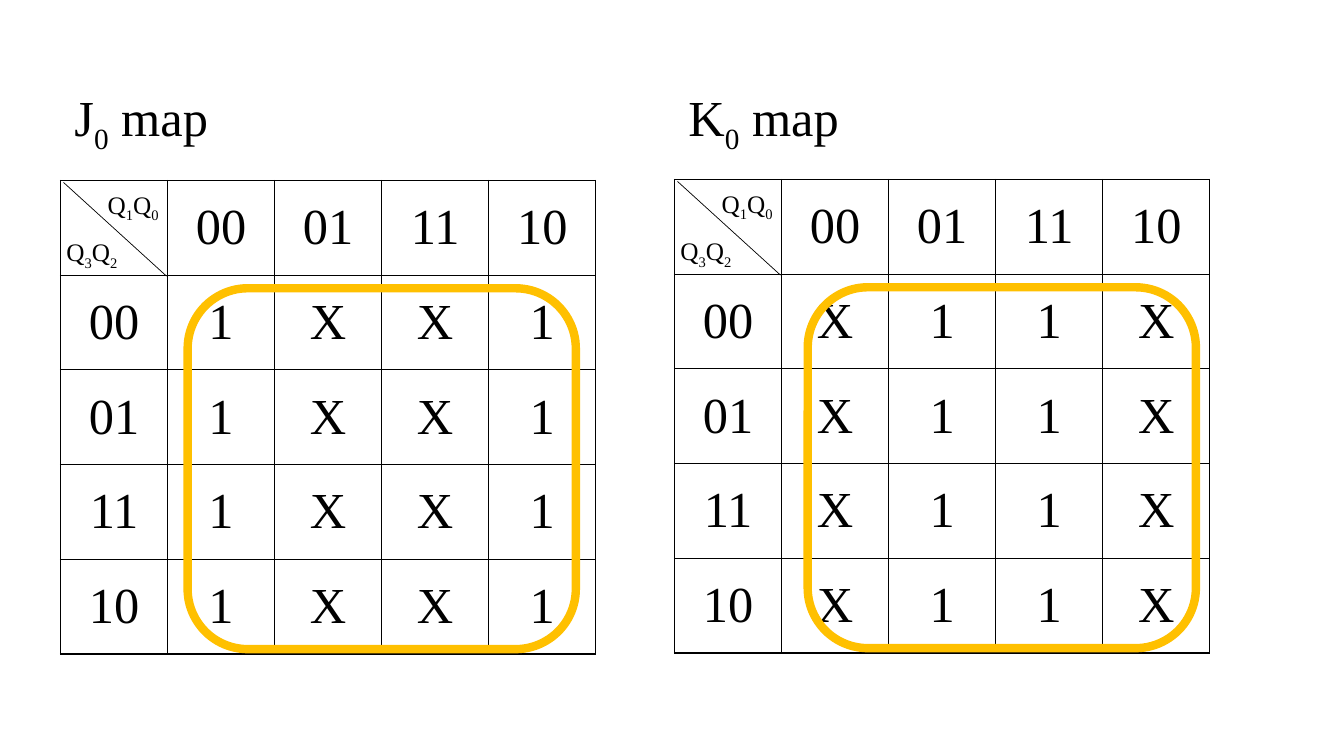
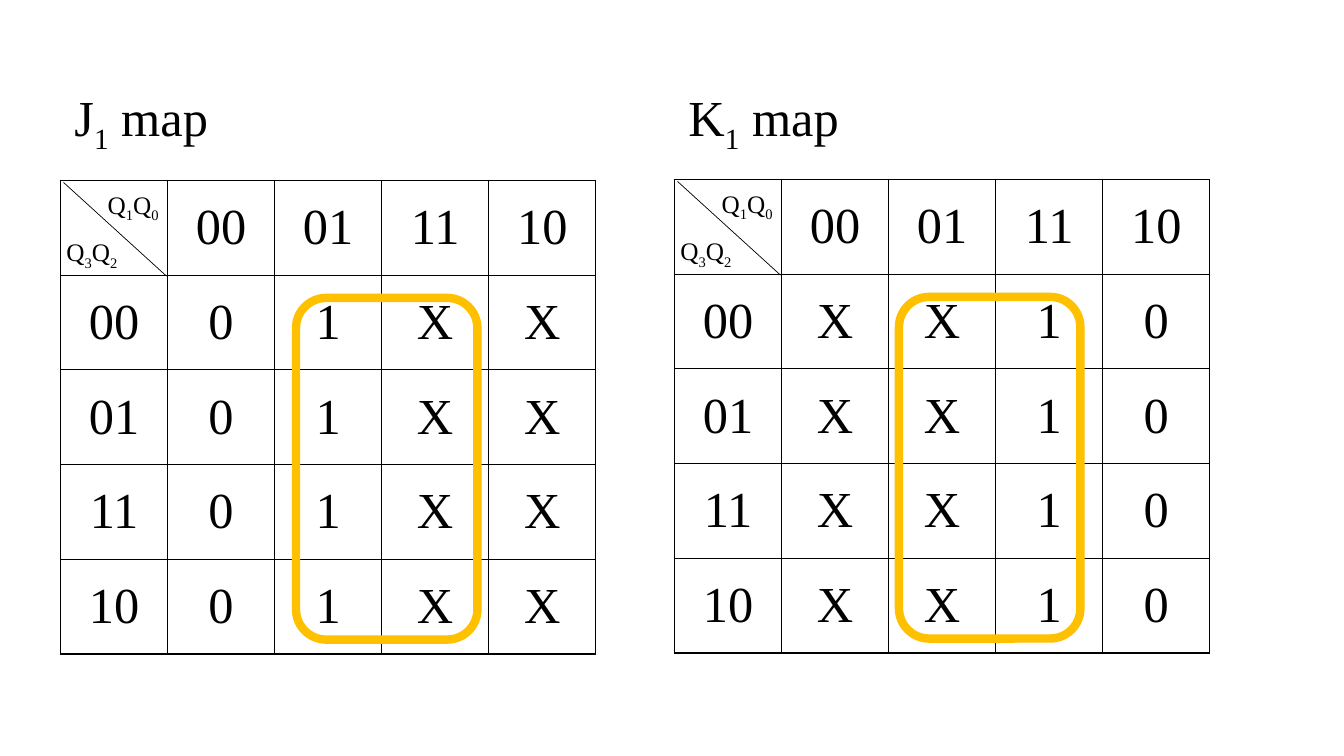
from lxml.etree import SubElement as Sub
from pptx import Presentation
from pptx.dml.color import RGBColor
from pptx.enum.shapes import MSO_CONNECTOR as Link, MSO_SHAPE as Shape
from pptx.enum.text import MSO_ANCHOR as Anchor, MSO_AUTO_SIZE as Fit, PP_ALIGN as Align
from pptx.oxml import parse_xml
from pptx.oxml.ns import qn
from pptx.util import Inches, Pt

CODES = ["00", "01", "11", "10"]
ROWS, COLS = "Q3Q2", "Q1Q0"
SLIDES = [
    {"loop": (3.85, 3.58),
     "maps": [("J", "0", "1XX1", 0), ("K", "0", "X11X", 0.06)]},
    {"loop": (1.8, 3.39),
     "maps": [("J", "1", "01XX", 0.05), ("K", "1", "XX10", -0.06)]},
]
PLACES = [(0.6, 1.79, 1.56), (6.69, 1.78, 1.73)]

FONT, BLACK, GOLD = "Times New Roman", "000000", "FFC000"
BIG, SMALL = 36, 18
SIDE = len(CODES) + 1
WIDE, HIGH = 5.31 / SIDE, 4.7 / SIDE
DROP = 0.04


def color(code):
    return RGBColor.from_string(code)


def stroke(line, code, size):
    line.color.rgb = color(code)
    line.width = Pt(size)


def write(para, text, size, sub=False):
    run = para.add_run()
    run.text = text
    run.font.name = FONT
    run.font.size = Pt(size)
    run.font.color.rgb = color(BLACK)
    if sub:
        run.font._element.set("baseline", "-25000")


def label(slide, box, text, size):
    shape = slide.shapes.add_textbox(*map(Inches, box))
    frame = shape.text_frame
    frame.word_wrap = False
    frame.auto_size = Fit.SHAPE_TO_FIT_TEXT
    for part, sub in text:
        write(frame.paragraphs[0], part, size, sub)


def edge(cell):
    props = cell._tc.get_or_add_tcPr()
    for spot, side in enumerate("LRTB"):
        line = props.makeelement(qn(f"a:ln{side}"), {"w": str(Pt(1))})
        fill = Sub(line, qn("a:solidFill"))
        Sub(fill, qn("a:srgbClr"), val=BLACK)
        props.insert(spot, line)


def grid(slide, left, top, values):
    box = (left, top, WIDE * SIDE, HIGH * SIDE)
    table = slide.shapes.add_table(SIDE, SIDE, *map(Inches, box)).table
    table.first_row = table.horz_banding = False
    for col in table.columns:
        col.width = Inches(WIDE)
    for row in table.rows:
        row.height = Inches(HIGH)
    lines = [["", *CODES]] + [[code, *values] for code in CODES]
    for r, line in enumerate(lines):
        for c, text in enumerate(line):
            cell = table.cell(r, c)
            cell.fill.background()
            edge(cell)
            cell.margin_left = cell.margin_right = Inches(0.08)
            cell.margin_top = cell.margin_bottom = Inches(0.04)
            cell.vertical_anchor = Anchor.MIDDLE
            if text:
                para = cell.text_frame.paragraphs[0]
                para.alignment = Align.CENTER
                write(para, text, BIG)


def corner(slide, left, top):
    ends = (left + 0.03, top + 0.02, left + WIDE - 0.01, top + HIGH + 0.01)
    line = slide.shapes.add_connector(Link.STRAIGHT, *map(Inches, ends))
    stroke(line.line, BLACK, 0.5)
    Sub(line._element.spPr, qn("a:effectLst"))
    for name, x, y in [(ROWS, -0.04, 0.51), (COLS, 0.37, 0.04)]:
        text = [(char, char.isdigit()) for char in name]
        label(slide, (left + x, top + y, 0.73, 0.4), text, SMALL)


def ring(slide, left, top, size, shift):
    wide, high = size
    x = left + WIDE * (SIDE + 1) / 2 + shift - wide / 2
    y = top + HIGH * (SIDE + 1) / 2 + DROP - high / 2
    loop = slide.shapes.add_shape(
        Shape.ROUNDED_RECTANGLE, *map(Inches, (x, y, wide, high)))
    loop.shadow.inherit = False
    loop.fill.background()
    stroke(loop.line, GOLD, 6)


deck = Presentation()
deck.slide_width, deck.slide_height = Inches(13.33), Inches(7.5)
for page in SLIDES:
    slide = deck.slides.add_slide(deck.slide_layouts[6])
    for (left, top, wide), (name, index, values, shift) in zip(PLACES, page["maps"]):
        grid(slide, left, top, values)
        title = [(name, False), (index, True), (" map", False)]
        label(slide, (left + 0.04, 0.81, wide, 0.71), title, BIG)
        corner(slide, left, top)
        ring(slide, left, top, page["loop"], shift)
deck.save("out.pptx")
